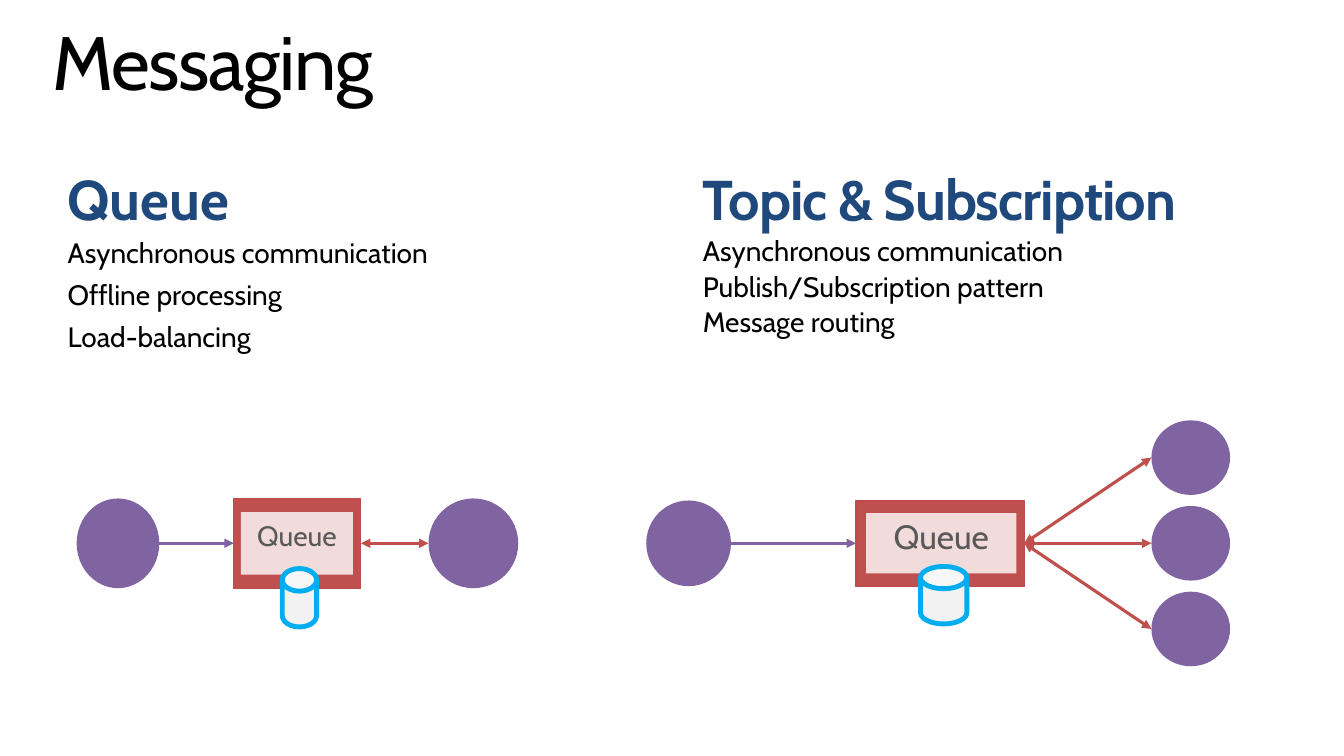
from pptx import Presentation
from pptx.dml.color import RGBColor
from pptx.enum.shapes import MSO_CONNECTOR, MSO_SHAPE
from pptx.enum.text import MSO_ANCHOR, MSO_AUTO_SIZE, PP_ALIGN
from pptx.oxml.ns import qn
from pptx.util import Inches, Pt
from lxml.etree import SubElement

BLACK = RGBColor(0x00, 0x00, 0x00)
NAVY = RGBColor(0x1F, 0x49, 0x7D)
GRAY = RGBColor(0x59, 0x59, 0x59)
RED = RGBColor(0xC0, 0x50, 0x4D)
RED_EDGE = RGBColor(0xBF, 0x4C, 0x48)
PINK = RGBColor(0xF2, 0xDC, 0xDB)
PURPLE = RGBColor(0x80, 0x64, 0xA2)
CYAN = RGBColor(0x00, 0xAE, 0xEF)
PALE = RGBColor(0xF2, 0xF2, 0xF2)
FONT = "Cabin"

TITLE = "Messaging"
TITLE_BOX = (0.42, 0.2, 12.6, 1.16)
COLUMNS = [
    {"heading": "Queue", "box": (0.57, 1.58, 5.9, 1.72), "tracking": 0,
     "items": ["Asynchronous communication", "Offline processing", "Load-balancing"],
     "spacing": {"space_before": Pt(3), "space_after": Pt(3), "line_spacing": 1.0}},
    {"heading": "Topic & Subscription", "box": (6.87, 1.58, 5.9, 1.72), "tracking": -70,
     "items": ["Asynchronous communication", "Publish/Subscription pattern", "Message routing"],
     "spacing": {"space_before": Pt(4), "space_after": Pt(0), "line_spacing": 0.9}},
]
AXIS = 5.39
RECEIVER_PITCH = 0.85
DIAGRAMS = [
    {"label": "Queue", "size": 20, "frame": (2.32, 4.95, 1.26, 0.89),
     "panel": (2.39, 5.08, 1.11, 0.62), "sender": (0.76, 0.82, 0.89),
     "receiver": (4.25, 0.89, 0.89), "rows": [0],
     "store": (2.8, 5.64, 0.34, 0.58), "lid": 0.66},
    {"label": "Queue", "size": 24, "frame": (8.49, 4.97, 1.67, 0.85),
     "panel": (8.59, 5.09, 1.49, 0.6), "sender": (6.41, 0.84, 0.85),
     "receiver": (11.42, 0.78, 0.74), "rows": [0, -1, 1],
     "store": (9.13, 5.62, 0.46, 0.57), "lid": 0.48},
]


def apply(target, values):
    for name, value in values.items():
        setattr(target, name, value)


def place(shape, box):
    apply(shape, dict(zip(("left", "top", "width", "height"), map(Inches, box))))


def write(paragraph, text, size, color, bold=False, tracking=0):
    run = paragraph.add_run()
    run.text = text
    apply(run.font, {"name": FONT, "size": Pt(size), "bold": bold})
    run.font.color.rgb = color
    run.font._element.set("spc", str(tracking))


def remove_bullet(paragraph):
    properties = paragraph._p.get_or_add_pPr()
    properties.set("marL", "0")
    properties.set("indent", "0")
    SubElement(properties, qn("a:buNone"))


def add_block(kind, box, fill, line=None, line_width=0.75):
    shape = slide.shapes.add_shape(kind, *map(Inches, box))
    shape.shadow.inherit = False
    shape.fill.solid()
    shape.fill.fore_color.rgb = fill
    if line is None:
        shape.line.fill.background()
    else:
        shape.line.color.rgb = line
        shape.line.width = Pt(line_width)
    return shape


def add_circle(left, width, height, center):
    add_block(MSO_SHAPE.OVAL, (left, center - height / 2, width, height), PURPLE)


def add_arrow(start, end, color, ends):
    arrow = slide.shapes.add_connector(MSO_CONNECTOR.STRAIGHT, *map(Inches, start + end))
    arrow.line.color.rgb = color
    arrow.line.width = Pt(2.25)
    outline = arrow.line._get_or_add_ln()
    for name in ends:
        SubElement(outline, qn("a:" + name), type="triangle")
    SubElement(arrow._element.spPr, qn("a:effectLst"))


def add_diagram(diagram):
    left, top, width, height = diagram["frame"]
    add_block(MSO_SHAPE.RECTANGLE, diagram["frame"], RED, RED_EDGE)
    panel = add_block(MSO_SHAPE.RECTANGLE, diagram["panel"], PINK)
    apply(panel.text_frame, {"word_wrap": True, "vertical_anchor": MSO_ANCHOR.MIDDLE,
                             "margin_bottom": Inches(0.2)})
    paragraph = panel.text_frame.paragraphs[0]
    paragraph.alignment = PP_ALIGN.CENTER
    write(paragraph, diagram["label"], diagram["size"], GRAY)

    sender_left, sender_width, sender_height = diagram["sender"]
    add_circle(sender_left, sender_width, sender_height, AXIS)
    add_arrow((sender_left + sender_width, AXIS), (left, AXIS), PURPLE, ["tailEnd"])
    for row in diagram["rows"]:
        center = AXIS + row * RECEIVER_PITCH
        add_circle(*diagram["receiver"], center)
        add_arrow((left + width, AXIS), (diagram["receiver"][0], center), RED,
                  ["headEnd", "tailEnd"])

    store = add_block(MSO_SHAPE.CAN, diagram["store"], PALE, CYAN, 3.5)
    store.adjustments[0] = diagram["lid"]


presentation = Presentation()
apply(presentation, {"slide_width": Inches(13.33), "slide_height": Inches(7.5)})
slide = presentation.slides.add_slide(presentation.slide_layouts[3])

title = slide.shapes.title
place(title, TITLE_BOX)
apply(title.text_frame, {"vertical_anchor": MSO_ANCHOR.TOP, "auto_size": MSO_AUTO_SIZE.NONE})
title_paragraph = title.text_frame.paragraphs[0]
apply(title_paragraph, {"alignment": PP_ALIGN.LEFT, "line_spacing": 0.9})
write(title_paragraph, TITLE, 54, BLACK, tracking=-100)

for index, column in enumerate(COLUMNS, 1):
    body = slide.placeholders[index]
    place(body, column["box"])
    frame = body.text_frame
    frame.auto_size = MSO_AUTO_SIZE.NONE
    heading = frame.paragraphs[0]
    heading.space_before = Pt(0)
    remove_bullet(heading)
    write(heading, column["heading"], 40, NAVY, True, column["tracking"])
    for item in column["items"]:
        paragraph = frame.add_paragraph()
        apply(paragraph, {"level": 1, **column["spacing"]})
        remove_bullet(paragraph)
        write(paragraph, item, 20, BLACK)

for diagram in DIAGRAMS:
    add_diagram(diagram)

presentation.save("out.pptx")
